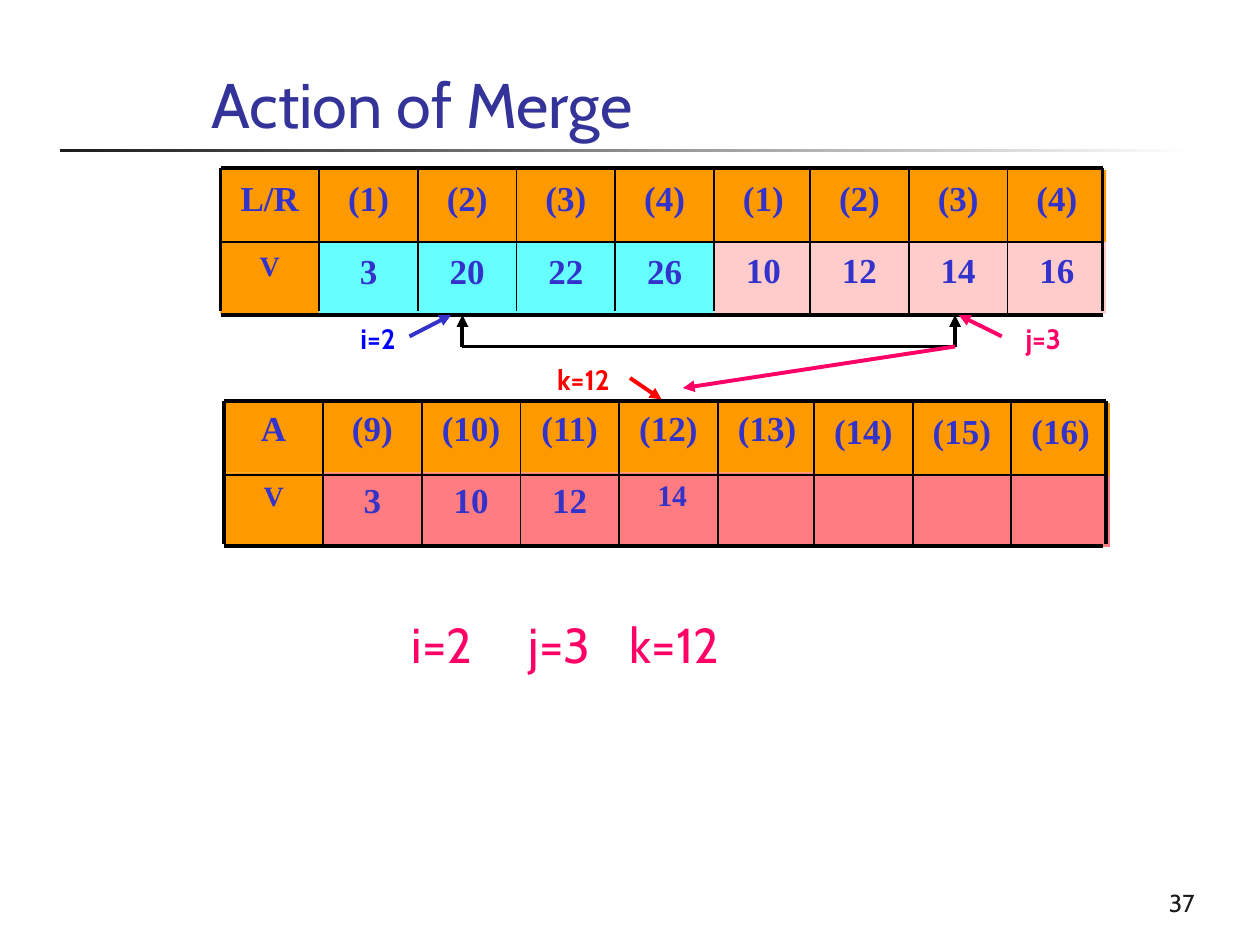
from lxml import etree
from pptx import Presentation
from pptx import util as u
from pptx.dml.color import RGBColor
from pptx.enum import shapes, text
from pptx.oxml.ns import qn

BLACK = RGBColor(0x00, 0x00, 0x00)
WHITE = RGBColor(0xFF, 0xFF, 0xFF)
CHARCOAL = RGBColor(0x1C, 0x1C, 0x1C)
NAVY = RGBColor(0x33, 0x33, 0x99)
INDIGO = RGBColor(0x33, 0x33, 0xCC)
BLUE = RGBColor(0x00, 0x00, 0xFF)
RED = RGBColor(0xFF, 0x00, 0x00)
PINK = RGBColor(0xFF, 0x00, 0x66)
ORANGE = RGBColor(0xFF, 0x99, 0x00)
CYAN = RGBColor(0x66, 0xFF, 0xFF)
ROSE = RGBColor(0xFF, 0xCC, 0xCC)
CORAL = RGBColor(0xFF, 0x7C, 0x80)

deck = Presentation()
deck.slide_width = u.Inches(10)
deck.slide_height = u.Inches(7.5)
page = deck.slides.add_slide(deck.slide_layouts[6])


def write(words, left, top, width, height, fill=None, font="Cabin", size=16,
          color=INDIGO, bold=False, align=text.PP_ALIGN.CENTER,
          anchor=text.MSO_ANCHOR.TOP, wrap=True, grow=False, spacing=None,
          inset=0.05, tabs=()):
    place = [u.Inches(value) for value in (left, top, width, height)]
    if fill is None:
        box = page.shapes.add_textbox(*place)
    else:
        box = page.shapes.add_shape(shapes.MSO_SHAPE.RECTANGLE, *place)
        box.shadow.inherit = False
        box.fill.solid()
        box.fill.fore_color.rgb = fill
        box.line.fill.background()
    frame = box.text_frame
    frame.word_wrap = wrap
    frame.vertical_anchor = anchor
    frame.margin_top = u.Inches(inset)
    if grow:
        frame.auto_size = text.MSO_AUTO_SIZE.SHAPE_TO_FIT_TEXT
    if not words:
        return
    para = frame.paragraphs[0]
    para.alignment = align
    if spacing:
        para.line_spacing = spacing
    if tabs:
        stops = etree.SubElement(para._p.get_or_add_pPr(), qn("a:tabLst"))
        for stop in tabs:
            etree.SubElement(stops, qn("a:tab"), pos=str(u.Inches(stop)), algn="l")
    span = para.add_run()
    span.text = words
    span.font.name = font
    span.font.size = u.Pt(size)
    span.font.bold = bold
    span.font.color.rgb = color


def draw_line(x1, y1, x2, y2, color=BLACK, weight=2.25, arrow=False):
    line = page.shapes.add_connector(
        shapes.MSO_CONNECTOR.STRAIGHT,
        u.Inches(x1), u.Inches(y1), u.Inches(x2), u.Inches(y2))
    line.line.color.rgb = color
    line.line.width = u.Pt(weight)
    if arrow:
        etree.SubElement(line.line._get_or_add_ln(), qn("a:tailEnd"), type="triangle")
    etree.SubElement(line._element.spPr, qn("a:effectLst"))


rule = page.shapes.add_shape(shapes.MSO_SHAPE.RECTANGLE, u.Inches(0.48),
                             u.Inches(1.18), u.Inches(9), u.Inches(0.03))
rule.shadow.inherit = False
rule.line.fill.background()
rule.fill.gradient()
rule.fill.gradient_angle = 180
for stop, color in zip(rule.fill.gradient_stops, (WHITE, CHARCOAL)):
    stop.color.rgb = color

PITCH = 4.7 / 6
ROW = 0.57
LAST_BLOCK = 6
grids = [
    dict(left=1.78, cells_top=3.18, top=3.18, middle=3.77, bottom=4.33,
         bottom_width=6.97, drop=0.02,
         heads=["A"] + [f"({n})" for n in range(9, 17)],
         values=["V", "3", "10", "12", "", "", "", "", ""],
         fills=[ORANGE] + [CORAL] * 8),
    dict(left=1.75, cells_top=1.35, top=1.33, middle=1.92, bottom=2.5,
         bottom_width=7, drop=0,
         heads=["L/R"] + [f"({n})" for n in (1, 2, 3, 4)] * 2,
         values=["V", "3", "20", "22", "26", "10", "12", "14", "16"],
         fills=[ORANGE] + [CYAN] * 4 + [ROSE] * 4),
]
for grid in grids:
    left, top = grid["left"], grid["top"]
    edges = [left + i * PITCH - (0.02 if i >= LAST_BLOCK else 0) for i in range(9)]
    columns = zip(edges, grid["heads"], grid["values"], grid["fills"])
    for i, (x, head, value, fill) in enumerate(columns):
        y = grid["cells_top"] + (grid["drop"] if i >= LAST_BLOCK else 0)
        value_top = y + ROW + (0.01 if fill == CYAN else 0)
        write(value, x, value_top, PITCH, ROW, fill=fill, font="Times New Roman",
              size=16 if value == "V" else 20, bold=True)
        write(head, x, y, PITCH, ROW, fill=ORANGE, font="Times New Roman",
              size=20, bold=True)
    for i, x in enumerate(edges):
        y = top + (0.02 if i >= LAST_BLOCK else 0)
        draw_line(x, y, x, y + 1.14, weight=1 if i else 2.25)
    right = left + 7
    draw_line(right, top, right, top + 1.14)
    draw_line(left, top, right, top)
    draw_line(left, grid["middle"], right, grid["middle"], weight=1)
    draw_line(left, grid["bottom"], left + grid["bottom_width"], grid["bottom"])

pointers = [
    ("i=2", 2.74, 2.5, 0.52, BLUE, INDIGO, (3.25, 2.67, 3.58, 2.5)),
    ("j=3", 8.02, 2.5, 0.52, PINK, PINK, (7.95, 2.67, 7.61, 2.5)),
    ("k=12", 4.27, 2.83, 0.72, RED, RED, (5, 3, 5.25, 3.17)),
]
for label, x, y, width, color, arrow_color, ends in pointers:
    write(label, x, y, width, 0.37, color=color, bold=True, wrap=False, grow=True)
    draw_line(*ends, color=arrow_color, arrow=True)

write("14", 5, 3.82, 0.67, 0.34, fill=CORAL, font="Times New Roman", size=17,
      bold=True, spacing=0.9, inset=0)
for x in (3.67, 7.58):
    draw_line(x, 2.75, x, 2.5, arrow=True)
draw_line(3.67, 2.75, 7.58, 2.75)
draw_line(7.58, 2.75, 5.42, 3.08, color=PINK, arrow=True)

write("Action of Merge", 1.58, 0.47, 7.83, 0.7, size=36, color=NAVY,
      align=text.PP_ALIGN.LEFT, grow=True)
write("i=2\tj=3\tk=12", 3.17, 4.83, 3.56, 0.57, size=28, color=PINK,
      align=text.PP_ALIGN.LEFT, grow=True, tabs=(0.93, 1.73))
write("37", 7.5, 6.83, 2.08, 0.5, size=14, color=CHARCOAL,
      align=text.PP_ALIGN.RIGHT, anchor=text.MSO_ANCHOR.BOTTOM)

deck.save("out.pptx")
